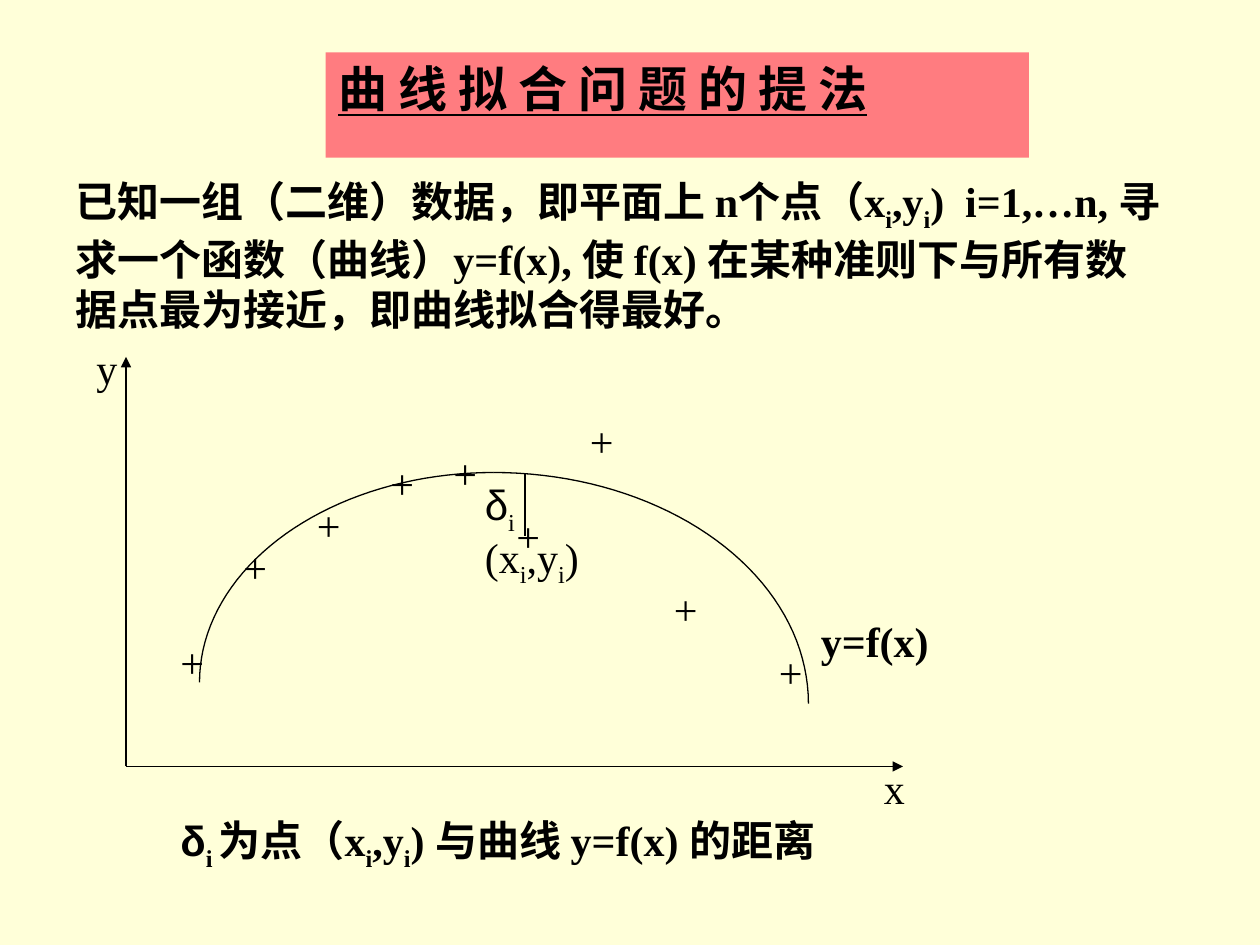
from math import cos, pi, sin

from lxml import etree
from pptx import Presentation
from pptx.dml.color import RGBColor
from pptx.enum import shapes, text
from pptx.oxml.ns import qn
from pptx.util import Pt

THEME = {
    "paper": RGBColor.from_string("FFFFD9"),
    "banner": RGBColor.from_string("FF7C80"),
    "ink": RGBColor.from_string("000000"),
    "title": 28, "body": 24, "line": 0.75,
    "cjk": "Noto Sans CJK SC", "serif": "Times New Roman", "sans": "Arial",
}

# Content: a run is (text, font) or (text, font, "sub"); boxes are (left, top, width, height)
TITLE = [("曲 线 拟 合 问 题 的 提 法", "cjk")]
TITLE_BOX = (186, 30, 402, 41)

SUB_I = ("i", "serif", "sub")
POINT = [SUB_I, (",y", "serif"), SUB_I]
PROBLEM = [
    ("已知一组（二维）数据，即平面上 ", "cjk"), ("n", "serif"), ("个点", "cjk"),
    ("（x", "serif"), *POINT, (")  i=1,…n, ", "serif"),
    ("寻求一个函数（曲线）", "cjk"), ("y=f(x), ", "serif"), ("使 ", "cjk"),
    ("f(x) ", "serif"), ("在某种准则下与所有数据点最为接近，即曲线拟合得最好。", "cjk"),
]
DISTANCE = [
    ("δ", "sans"), ("i ", "serif", "sub"), ("为点（x", "serif"), *POINT,
    (") 与", "serif"), ("曲线 ", "cjk"), ("y=f(x) 的距离", "serif"),
]
# (runs, box, bold)
TEXTS = [
    (PROBLEM, (36, 97, 636, 98), True),
    ([("x", "serif")], (498, 432, 48, 36), False),
    ([("y", "serif")], (48, 192, 36, 36), False),
    ([("y=f(x)", "serif")], (462, 348, 114, 36), True),
    ([("(x", "serif"), *POINT, (")", "serif")], (270, 300, 72, 40), False),
    ([("δ", "sans"), SUB_I], (270, 270, 42, 40), False),
    (DISTANCE, (96, 462, 390, 69), True),
]
MARKS = [(96, 360), (132, 306), (174, 282), (216, 258), (252, 252),
         (288, 288), (330, 234), (378, 330), (438, 366)]
MARK_SIZE = (42, 36)

# (start, end, arrow)
ORIGIN = (72, 438)
LINES = [(ORIGIN, (516, 438), True), (ORIGIN, (72, 204), True),
         ((300, 306), (300, 270), False)]

# Curve: two quarter ellipses sharing the peak, given by signed half width and height
PEAK = (282, 270)
QUARTERS = [(-168, 120), (180, 132)]
STEPS = 40


def write(sp, runs, size, bold, underline=None):
    tf = sp.text_frame
    tf.word_wrap = True
    tf.auto_size = text.MSO_AUTO_SIZE.SHAPE_TO_FIT_TEXT
    tf.vertical_anchor = text.MSO_ANCHOR.TOP
    p = tf.paragraphs[0]
    p.alignment = text.PP_ALIGN.LEFT
    p.space_before = Pt(size * 0.625)
    for words, font, *sub in runs:
        r = p.add_run()
        r.text = words
        r.font.size, r.font.bold, r.font.underline = Pt(size), bold, underline
        r.font.name = THEME[font]
        r.font.color.rgb = THEME["ink"]
        rpr = r.font._element
        etree.SubElement(rpr, qn("a:ea")).set("typeface", THEME["cjk"])
        if sub:
            rpr.set("baseline", "-25000")


def add_text(slide, runs, box, bold=False):
    sp = slide.shapes.add_textbox(*map(Pt, box))
    write(sp, runs, THEME["body"], bold)


def ink_line(sp):
    sp.line.color.rgb = THEME["ink"]
    sp.line.width = Pt(THEME["line"])


def add_line(slide, start, end, arrow):
    c = slide.shapes.add_connector(shapes.MSO_CONNECTOR.STRAIGHT, *map(Pt, start + end))
    ink_line(c)
    if arrow:
        etree.SubElement(c.line._get_or_add_ln(), qn("a:tailEnd")).set("type", "triangle")
    etree.SubElement(c._element.spPr, qn("a:effectLst"))


def add_quarter(slide, rx, ry):
    x, y = PEAK
    angles = [pi / 2 * k / STEPS for k in range(1, STEPS + 1)]
    points = [(Pt(x + rx * sin(a)), Pt(y + ry * (1 - cos(a)))) for a in angles]
    outline = slide.shapes.build_freeform(Pt(x), Pt(y))
    outline.add_line_segments(points, close=False)
    sp = outline.convert_to_shape()
    sp.fill.background()
    sp.shadow.inherit = False
    ink_line(sp)


def main():
    prs = Presentation()
    prs.slide_width, prs.slide_height = Pt(720), Pt(540)
    slide = prs.slides.add_slide(prs.slide_layouts[5])
    slide.background.fill.solid()
    slide.background.fill.fore_color.rgb = THEME["paper"]

    # Title banner
    title = slide.shapes.title
    title.left, title.top, title.width, title.height = map(Pt, TITLE_BOX)
    title.fill.solid()
    title.fill.fore_color.rgb = THEME["banner"]
    write(title, TITLE, THEME["title"], True, True)

    # Data points, axes, distance line and fitted curve
    for mark in MARKS:
        add_text(slide, [("+", "serif")], mark + MARK_SIZE)
    for line in LINES:
        add_line(slide, *line)
    for quarter in QUARTERS:
        add_quarter(slide, *quarter)

    # Statement, labels and caption
    for item in TEXTS:
        add_text(slide, *item)

    prs.save("out.pptx")


if __name__ == "__main__":
    main()
